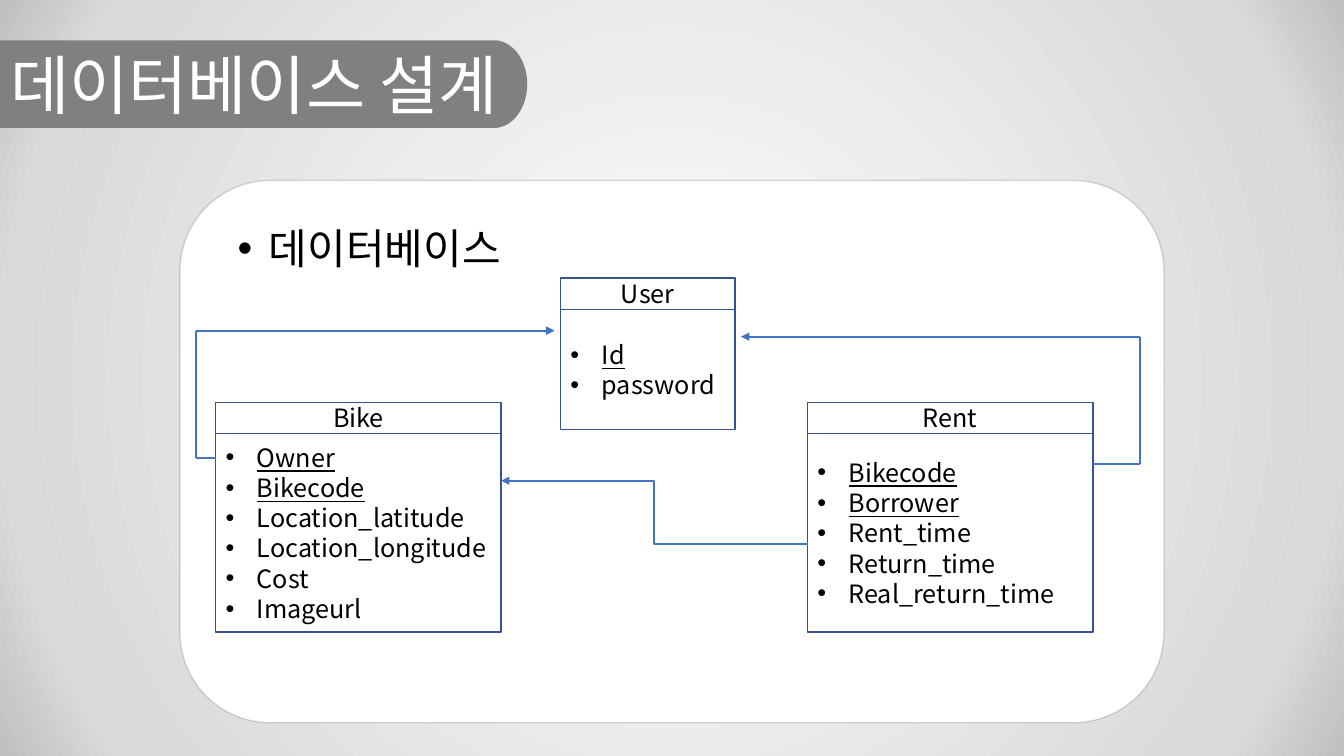
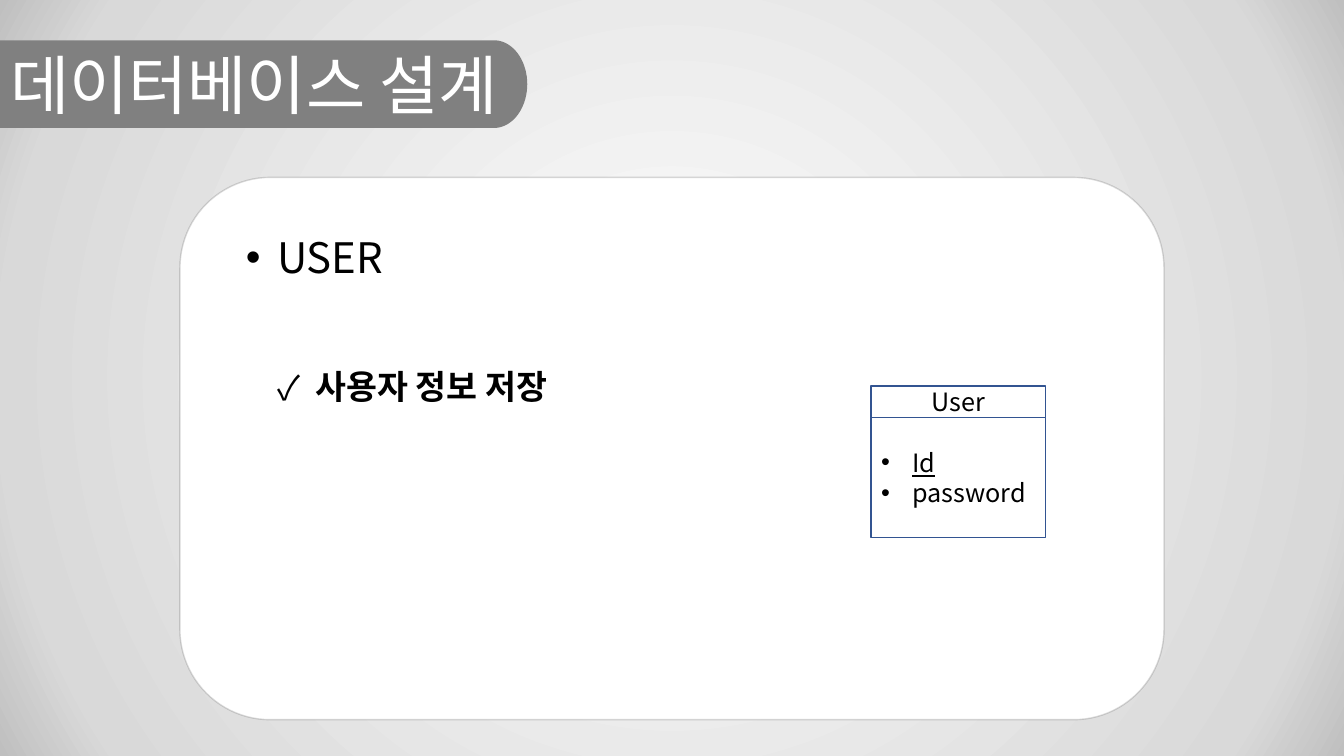
import math

import pptx
import pptx.dml.color
import pptx.enum.shapes
import pptx.enum.text
import pptx.oxml
import pptx.oxml.ns
import pptx.util
from lxml import etree

Inches = pptx.util.Inches
SHAPE = pptx.enum.shapes.MSO_SHAPE
CONNECTOR = pptx.enum.shapes.MSO_CONNECTOR
ALIGN = pptx.enum.text.PP_ALIGN
ANCHOR = pptx.enum.text.MSO_ANCHOR

# Shared style
COLORS = {"text": "000000", "white": "FFFFFF", "band": "808080",
          "border": "325491", "link": "4472C4"}
BACKGROUND = [(0, "FFFFFF"), (87, "D9D9D9"), (100, "BFBFBF")]
FONT = "Noto Sans CJK KR"
BULLET_FONTS = {"•": "Arial", "✓": FONT}
LINE_SPACING = 1.0
WIDTH, HEIGHT = 13.33, 7.5
BAND_TOP, BAND_WIDTH, BAND_HEIGHT, BAND_END = 0.4, 5.23, 0.87, 0.33
PANEL_WIDTH, PANEL_HEIGHT = 9.76, 5.38
HEADER_HEIGHT = 0.31
INDENT = 0.31
SMALL, LARGE = (1.73, 1.19), (2.83, 1.97)  # entity width, body height

# Content: fields are (name, is key)
TITLE = "데이터베이스 설계"
USER = ("User", SMALL, [("Id", True), ("password", False)])
BIKE = ("Bike", LARGE, [("Owner", True), ("Bikecode", True),
                        ("Location_latitude", False), ("Location_longitude", False),
                        ("Cost", False), ("Imageurl", False)])
RENT = ("Rent", LARGE, [("Bikecode", True), ("Borrower", True), ("Rent_time", False),
                        ("Return_time", False), ("Real_return_time", False)])

USER_LEFT, BIKE_LEFT, RENT_LEFT = 5.56, 2.14, 8.01
USER_RIGHT, BIKE_RIGHT, RENT_RIGHT = (
    USER_LEFT + SMALL[0], BIKE_LEFT + LARGE[0], RENT_LEFT + LARGE[0])
ARROW_GAP = 0.06

PAGES = [
    {"panel_top": 1.79,
     "heading": ("데이터베이스", 2.26, 2.16, 4.57),
     "notes": [],
     "entities": [(USER, USER_LEFT, 2.76), (BIKE, BIKE_LEFT, 3.99), (RENT, RENT_LEFT, 3.99)],
     "elbows": [((RENT_LEFT, 5.4), (BIKE_RIGHT, 4.77))],
     "routes": [[(BIKE_LEFT, 4.54), (1.94, 4.54), (1.94, 3.28),
                 (USER_LEFT - ARROW_GAP, 3.28)],
                [(RENT_RIGHT, 4.6), (11.31, 4.6), (11.31, 3.34),
                 (USER_RIGHT + ARROW_GAP, 3.34)]]},
    {"panel_top": 1.76,
     "heading": ("USER", 2.34, 2.25, 4.88),
     "notes": [("사용자 정보 저장", 2.65, 3.58, 4.88)],
     "entities": [(USER, 8.64, 3.83)],
     "elbows": [],
     "routes": []},
]


def rgb(name):
    return pptx.dml.color.RGBColor.from_string(COLORS[name])


def add_xml(parent, tag, **attributes):
    return etree.SubElement(parent, pptx.oxml.ns.qn(tag), attributes)


def write_text(shape, lines, size=18, color="text", bold=False, align=ALIGN.LEFT,
               anchor=ANCHOR.MIDDLE, bullet=None, indent=INDENT, wrap=True):
    """Fill a shape with (text, underlined) lines in one format."""
    frame = shape.text_frame
    frame.word_wrap = wrap
    frame.vertical_anchor = anchor
    for index, (text, underlined) in enumerate(lines):
        para = frame.add_paragraph() if index else frame.paragraphs[0]
        para.alignment = align
        para.line_spacing = LINE_SPACING
        if bullet:
            properties = para._p.get_or_add_pPr()
            properties.set("marL", str(Inches(indent)))
            properties.set("indent", str(-Inches(indent)))
            add_xml(properties, "a:buFont", typeface=BULLET_FONTS[bullet])
            add_xml(properties, "a:buChar", char=bullet)
        span = para.add_run()
        span.text = text
        span.font.size = pptx.util.Pt(size)
        span.font.bold = bold
        span.font.underline = underlined
        span.font.color.rgb = rgb(color)
        span.font.name = FONT
        add_xml(span.font._element, "a:ea", typeface=FONT)


def paint(shape, fill, line=None):
    shape.shadow.inherit = False
    shape.fill.solid()
    shape.fill.fore_color.rgb = rgb(fill)
    if line:
        shape.line.color.rgb = rgb(line)
        shape.line.width = pptx.util.Pt(1)
    else:
        shape.line.fill.background()


def add_box(shapes, kind, left, top, width, height, line):
    box = shapes.add_shape(kind, *map(Inches, (left, top, width, height)))
    paint(box, "white", line)
    return box


def add_panel(page, top):
    panel = add_box(page.shapes, SHAPE.ROUNDED_RECTANGLE, (WIDTH - PANEL_WIDTH) / 2, top,
                    PANEL_WIDTH, PANEL_HEIGHT, "text")
    line_color = panel.line._ln.find(".//" + pptx.oxml.ns.qn("a:srgbClr"))
    add_xml(line_color, "a:alpha", val="15000")


def add_bullet_text(page, text, left, top, width, size, **style):
    box = page.shapes.add_textbox(*map(Inches, (left, top, width, 0.1 + size * 0.017)))
    write_text(box, [(text, False)], size=size, anchor=ANCHOR.TOP, **style)


def add_entity(page, entity, left, top):
    name, (width, body_height), fields = entity
    group = page.shapes.add_group_shape()
    header = add_box(group.shapes, SHAPE.RECTANGLE, left, top, width, HEADER_HEIGHT, "border")
    header.text_frame.margin_top = header.text_frame.margin_bottom = 0
    write_text(header, [(name, False)], align=ALIGN.CENTER)
    body = add_box(group.shapes, SHAPE.RECTANGLE, left, top + HEADER_HEIGHT,
                   width, body_height, "border")
    write_text(body, fields, bullet="•")


def add_link(page, start, end, kind=CONNECTOR.STRAIGHT, arrow=True):
    link = page.shapes.add_connector(kind, *map(Inches, (*start, *end)))
    link.line.color.rgb = rgb("link")
    link.line.width = pptx.util.Pt(1.5)
    if arrow:
        add_xml(link.line._ln, "a:tailEnd", type="triangle")
    add_xml(link._element.spPr, "a:effectLst")


def add_title(page):
    # Band with a half-ellipse at its right end
    radius = BAND_HEIGHT / 2
    angles = [math.radians(degree) for degree in range(-90, 91, 5)]
    points = [(BAND_WIDTH - BAND_END + BAND_END * math.cos(angle),
               BAND_TOP + radius + radius * math.sin(angle)) for angle in angles]
    points.append((0, BAND_TOP + BAND_HEIGHT))
    outline = page.shapes.build_freeform(0, Inches(BAND_TOP))
    outline.add_line_segments([(Inches(x), Inches(y)) for x, y in points])
    paint(outline.convert_to_shape(), "band")

    # Title placeholder in front of the band
    title = page.shapes.title
    title.left, title.top, title.width, title.height = map(
        Inches, (0, BAND_TOP, BAND_WIDTH, BAND_HEIGHT))
    title.text_frame.auto_size = pptx.enum.text.MSO_AUTO_SIZE.NONE
    write_text(title, [(TITLE, False)], size=46, color="white", wrap=False)
    page.shapes._spTree.append(title._element)


def set_background(master):
    """Give every slide the same radial gradient."""
    master.background.fill.solid()
    properties = master._element.xpath(".//p:bgPr")[0]
    properties.remove(properties[0])
    gradient = etree.Element(pptx.oxml.ns.qn("a:gradFill"), rotWithShape="1")
    stops = add_xml(gradient, "a:gsLst")
    for position, color in BACKGROUND:
        stop = add_xml(stops, "a:gs", pos=str(position * 1000))
        add_xml(stop, "a:srgbClr", val=color)
    circle = add_xml(gradient, "a:path", path="circle")
    add_xml(circle, "a:fillToRect", l="50000", t="50000", r="50000", b="50000")
    properties.insert(0, gradient)


def add_page(deck, content):
    page = deck.slides.add_slide(deck.slide_layouts[5])
    add_panel(page, content["panel_top"])
    add_bullet_text(page, *content["heading"], size=30, bullet="•")
    for entity in content["entities"]:
        add_entity(page, *entity)
    for note in content["notes"]:
        add_bullet_text(page, *note, size=24, bold=True, bullet="✓", indent=0.38)
    for start, end in content["elbows"]:
        add_link(page, start, end, kind=CONNECTOR.ELBOW)
    for route in content["routes"]:
        for start, end in zip(route, route[1:]):
            add_link(page, start, end, arrow=end == route[-1])
    add_title(page)


def main():
    deck = pptx.Presentation()
    deck.slide_width, deck.slide_height = Inches(WIDTH), Inches(HEIGHT)
    set_background(deck.slide_master)
    for content in PAGES:
        add_page(deck, content)
    deck.save("out.pptx")


if __name__ == "__main__":
    main()
